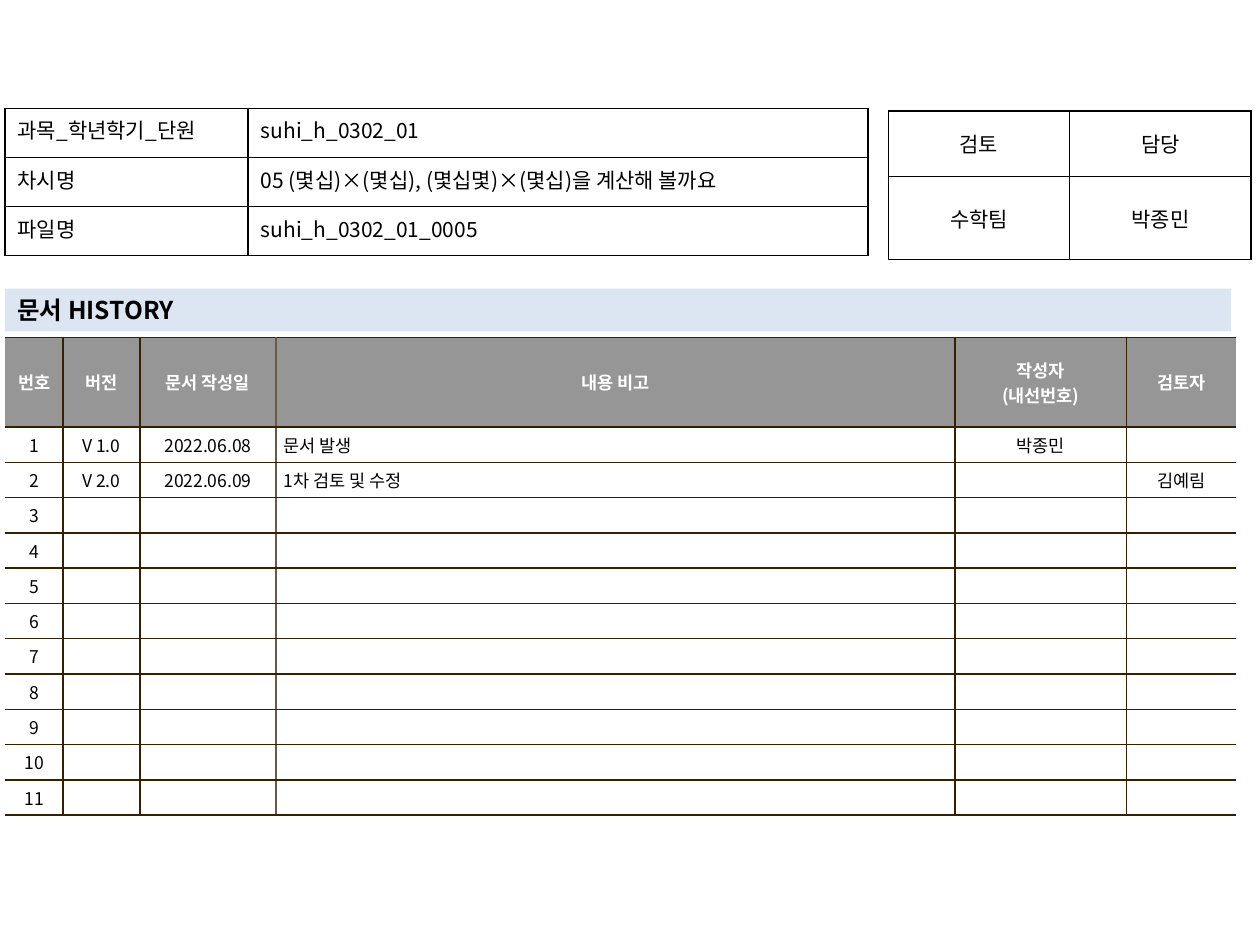
"""Build the document history page of a lesson storyboard."""
from lxml import etree
from pptx import Presentation
from pptx.dml.color import RGBColor
from pptx.enum.shapes import MSO_SHAPE
from pptx.enum.text import MSO_ANCHOR, PP_ALIGN
from pptx.oxml.ns import qn
from pptx.util import Inches, Pt

RECTANGLE = MSO_SHAPE.RECTANGLE
TOP, MIDDLE = MSO_ANCHOR.TOP, MSO_ANCHOR.MIDDLE
LEFT, CENTER, JUSTIFY = PP_ALIGN.LEFT, PP_ALIGN.CENTER, PP_ALIGN.JUSTIFY
FONT = "Noto Sans CJK KR"
BLACK = RGBColor(0x00, 0x00, 0x00)
WHITE = RGBColor(0xFF, 0xFF, 0xFF)
GRAY = RGBColor(0x96, 0x96, 0x96)
PALE_BLUE = RGBColor(0xDC, 0xE6, 0xF2)
BROWN = RGBColor(0x36, 0x20, 0x00)
TAUPE = RGBColor(0x64, 0x5B, 0x4C)


def format_text(frame, size, color, bold, align):
    for para in frame.paragraphs:
        para.alignment = align
        para.font.size = Pt(size)
        para.font.bold = bold
        para.font.color.rgb = color
        para.font.name = FONT
        etree.SubElement(para.font._rPr, qn("a:ea"), typeface=FONT)


def add_grid(page, left, top, widths, heights, rows, margins, anchor, border):
    frame = page.shapes.add_table(len(heights), len(widths), Inches(left), Inches(top),
                                  Inches(sum(widths)), Inches(sum(heights)))
    table = frame.table
    table.first_row = table.horz_banding = False
    for column, width in zip(table.columns, widths):
        column.width = Inches(width)
    for row, height in zip(table.rows, heights):
        row.height = Inches(height)
    for row, texts in zip(table.rows, rows):
        for cell, text in zip(row.cells, texts):
            cell.text = text
            cell.vertical_anchor = anchor
            cell.margin_left = cell.margin_right = Inches(margins[0])
            cell.margin_top = cell.margin_bottom = Inches(margins[1])
            cell.fill.background()
            properties = cell._tc.get_or_add_tcPr()
            for place, side in enumerate(("lnL", "lnR", "lnT", "lnB")):
                line = etree.Element(qn(f"a:{side}"), w=str(Pt(1)))
                fill = etree.SubElement(line, qn("a:solidFill"))
                etree.SubElement(fill, qn("a:srgbClr"), val=str(border))
                properties.insert(place, line)
    return table


deck = Presentation()
deck.slide_width, deck.slide_height = Inches(10), Inches(7.5)
page = deck.slides.add_slide(deck.slide_layouts[6])

history_rows = [
    ["번호", "버전", "문서 작성일", "내용 비고", "작성자\n(내선번호)", "검토자"],
    ["1", "V 1.0", "2022.06.08", "문서 발생", "박종민", ""],
    ["2", "V 2.0", "2022.06.09", "1차 검토 및 수정", "", "김예림"],
]
history_rows += [[str(number)] + [""] * 5 for number in range(3, 12)]
history = add_grid(page, 0.04, 2.68, [0.46, 0.61, 1.08, 5.39, 1.36, 0.87],
                   [0.71] + [0.28] * 11, history_rows, (0.06, 0.04), MIDDLE, BROWN)
for row_index, row in enumerate(history.rows):
    header = row_index == 0
    for column_index, cell in enumerate(row.cells):
        cell.fill.solid()
        cell.fill.fore_color.rgb = GRAY if header else WHITE
        align = LEFT if column_index == 3 and not header else CENTER
        format_text(cell.text_frame, 10, WHITE if header else BLACK, header, align)
    cells = list(row.cells)
    for cell, side in ((cells[0], "lnL"), (cells[-1], "lnR")):
        line = cell._tc.tcPr.find(qn(f"a:{side}"))
        line.remove(line[0])
        etree.SubElement(line, qn("a:noFill"))
    for cell, side in ((cells[2], "lnR"), (cells[3], "lnL")):
        cell._tc.tcPr.find(qn(f"a:{side}"))[0][0].set("val", str(TAUPE))

review_rows = [["검토", "담당"], ["수학팀", "박종민"]]
review = add_grid(page, 7.05, 0.88, [1.44, 1.44], [0.52, 0.66], review_rows,
                  (0.1, 0.05), MIDDLE, BLACK)
for cell in review.iter_cells():
    format_text(cell.text_frame, 12, BLACK, False, CENTER)

heading = page.shapes.add_shape(RECTANGLE, Inches(0.04), Inches(2.29), Inches(9.73), Inches(0.34))
heading.shadow.inherit = False
heading.fill.solid()
heading.fill.fore_color.rgb = PALE_BLUE
heading.line.fill.background()
heading.text_frame.text = "문서 HISTORY"
heading.text_frame.vertical_anchor = TOP
heading.text_frame.word_wrap = True
format_text(heading.text_frame, 14, BLACK, True, LEFT)

lesson_rows = [
    ["과목_학년학기_단원", "suhi_h_0302_01"],
    ["차시명", "05 (몇십)×(몇십), (몇십몇)×(몇십)을 계산해 볼까요"],
    ["파일명", "suhi_h_0302_01_0005"],
]
lesson = add_grid(page, 0.04, 0.86, [1.93, 4.92], [0.39] * 3, lesson_rows,
                  (0.1, 0.05), TOP, BLACK)
for row in lesson.rows:
    for cell, align in zip(row.cells, (JUSTIFY, LEFT)):
        format_text(cell.text_frame, 12, BLACK, False, align)

deck.save("out.pptx")
